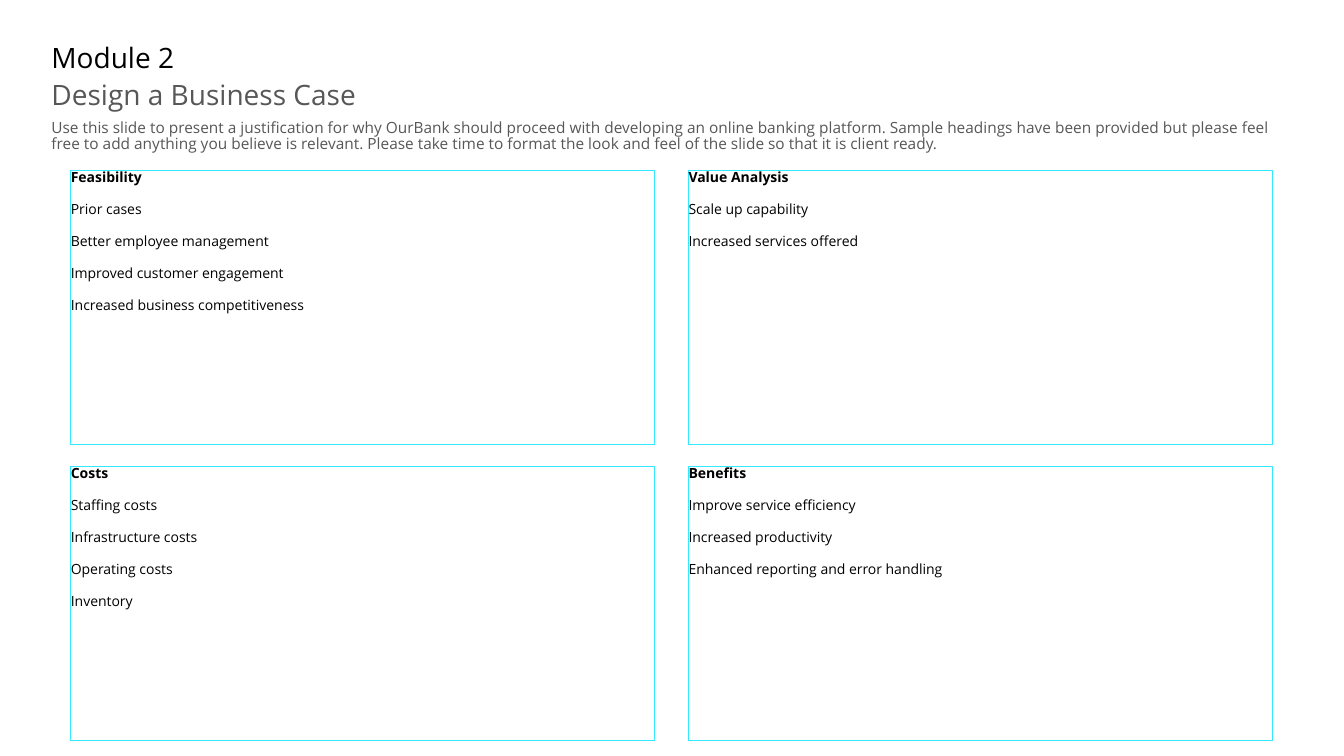
from lxml.etree import SubElement
from pptx import Presentation
from pptx.dml.color import RGBColor as Rgb
from pptx.enum.text import MSO_ANCHOR as Anchor, MSO_AUTO_SIZE as Fit, PP_ALIGN as Align
from pptx.oxml.ns import qn
from pptx.util import Pt

HUES = {"black": "000000", "grey": "575757", "cyan": "32E9FF"}


def place(shape, left, top, width, height):
    shape.left, shape.top = Pt(left), Pt(top)
    shape.width, shape.height = Pt(width), Pt(height)


def style(shape, text, size, hue, before=0, after=0, head=False):
    frame = shape.text_frame
    frame.text = text
    frame.word_wrap = True
    frame.auto_size = Fit.NONE
    frame.vertical_anchor = Anchor.TOP
    frame.margin_left = frame.margin_right = 0
    frame.margin_top = frame.margin_bottom = 0
    for row, para in enumerate(frame.paragraphs):
        para.alignment = Align.LEFT
        para.line_spacing = 0.9
        para.space_before, para.space_after = Pt(before), Pt(after)
        props = para._p.get_or_add_pPr()
        props.set("marL", "0")
        props.set("indent", "0")
        SubElement(props, qn("a:buNone"))
        for run in para.runs:
            run.font.name = "Open Sans"
            run.font.size = Pt(size)
            run.font.bold = head and row == 0
            run.font.color.rgb = Rgb.from_string(HUES[hue])


deck = Presentation()
deck.slide_width, deck.slide_height = Pt(960), Pt(540)
slide = deck.slides.add_slide(deck.slide_layouts[4])

title, *bodies = slide.placeholders
place(title, 36.7, 31.7, 721.4, 26.6)
style(title, "Module 2", 20, "black")

topic = slide.shapes.add_textbox(Pt(36.7), Pt(58.3), Pt(721.4), Pt(29.5))
style(topic, "Design a Business Case", 20, "grey", after=10)

intro = slide.shapes.add_textbox(Pt(36.7), Pt(85.7), Pt(887), Pt(31.7))
style(
    intro,
    "Use this slide to present a justification for why OurBank should proceed with "
    "developing an online banking platform. Sample headings have been provided but "
    "please feel free to add anything you believe is relevant. Please take time to "
    "format the look and feel of the slide so that it is client ready.",
    11, "grey", after=10,
)

panels = [
    ["Feasibility", "Prior cases", "Better employee management",
     "Improved customer engagement", "Increased business competitiveness"],
    ["Value Analysis", "Scale up capability", "Increased services offered"],
    ["Costs", "Staffing costs", "Infrastructure costs", "Operating costs", "Inventory"],
    ["Benefits", "Improve service efficiency", "Increased productivity",
     "Enhanced reporting and error handling"],
]
for spot, (body, lines) in enumerate(zip(bodies, panels)):
    row, col = divmod(spot, 2)
    place(body, 50.6 + col * 441.2, 121.6 + row * 211.9, 417, 195.7)
    body.line.color.rgb = Rgb.from_string(HUES["cyan"])
    body.line.width = Pt(0.75)
    style(body, "\n".join(lines), 10, "black", 6, 6, True)

for shape in list(slide.placeholders):
    if not shape.has_text_frame or not shape.text_frame.text:
        shape.element.getparent().remove(shape.element)

deck.save("out.pptx")
